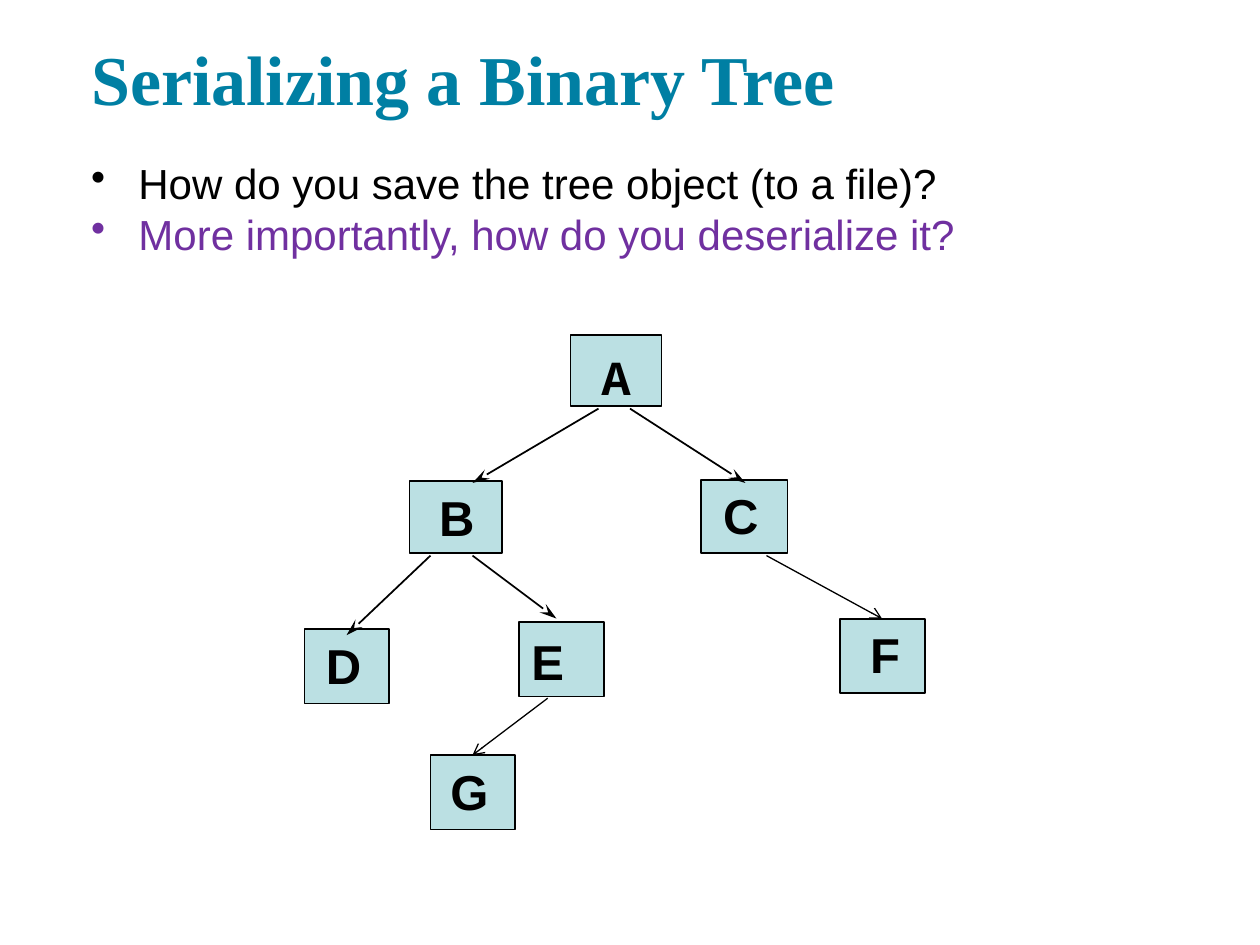
from dataclasses import dataclass

from lxml import etree
from pptx import Presentation
from pptx.dml.color import RGBColor
from pptx.enum.shapes import MSO_CONNECTOR, MSO_SHAPE
from pptx.enum.text import MSO_AUTO_SIZE, PP_ALIGN
from pptx.oxml.ns import qn
from pptx.util import Pt

RECTANGLE = MSO_SHAPE.RECTANGLE
STRAIGHT = MSO_CONNECTOR.STRAIGHT
CENTER = PP_ALIGN.CENTER
NO_AUTOFIT = MSO_AUTO_SIZE.NONE


@dataclass(frozen=True)
class Theme:
    title: RGBColor = RGBColor(0x00, 0x7F, 0xA3)
    text: RGBColor = RGBColor(0x00, 0x00, 0x00)
    accent: RGBColor = RGBColor(0x70, 0x30, 0xA0)
    node: RGBColor = RGBColor(0xBB, 0xE0, 0xE3)
    title_font: str = "Times New Roman"
    body_font: str = "Arial"
    root_font: str = "Courier New"
    title_size: int = 40
    body_size: int = 24
    label_size: int = 28


THEME = Theme()

# Node: left, top, width, height in the tree; label left, top, width in the node
NODES = {
    "A": ((152, 0, 52, 40.5), (10, 3, 32)),
    "B": ((60, 83.5, 53, 41), (12, 0, 30)),
    "C": ((226.5, 83, 49.5, 41.5), (8, -0.5, 29.5)),
    "D": ((0, 168, 48.5, 42.5), (6, 0, 32.5)),
    "E": ((122.5, 164, 48.5, 42.5), (2.5, 2, 28)),
    "F": ((306, 162, 48.5, 42.5), (12, 0, 27.5)),
    "G": ((72, 240, 48.5, 42.5), (6, 0, 32.5)),
}

# Edge: start and end in the tree, line width, arrowhead, arrowhead length
STEALTH = (1, "stealth", "lg")
OPEN_ARROW = (0.75, "arrow", "med")
EDGES = [
    ((168, 42), (96, 84.5), STEALTH),  # A to B
    ((186, 42), (252, 84.5), STEALTH),  # A to C
    ((72, 126), (24, 171.5), STEALTH),  # B to D
    ((96, 126), (144, 162), STEALTH),  # B to E
    ((264, 126), (330, 162), OPEN_ARROW),  # C to F
    ((139, 207.5), (96, 240), OPEN_ARROW),  # E to G
]


def style_font(paragraph, name, size, color, bold=False):
    font = paragraph.font
    font.name, font.size, font.bold = name, Pt(size), bold
    font.color.rgb = color


def add_text_frame(slide, left, top, width, height, wrap=True):
    text_box = slide.shapes.add_textbox(Pt(left), Pt(top), Pt(width), Pt(height))
    text_frame = text_box.text_frame
    text_frame.word_wrap = wrap
    text_frame.auto_size = NO_AUTOFIT
    return text_frame


def add_title(slide, box, text):
    paragraph = add_text_frame(slide, *box).paragraphs[0]
    paragraph.text = text
    style_font(paragraph, THEME.title_font, THEME.title_size, THEME.title, True)


def add_bullets(slide, box, items):
    text_frame = add_text_frame(slide, *box)
    for index, (text, color) in enumerate(items):
        paragraph = text_frame.add_paragraph() if index else text_frame.paragraphs[0]
        paragraph.text = text
        style_font(paragraph, THEME.body_font, THEME.body_size, color)
        properties = paragraph._p.get_or_add_pPr()
        properties.set("marL", str(Pt(27)))
        properties.set("indent", str(Pt(-27)))
        # The bullet comes before the default run properties
        bullet = etree.Element(qn("a:buChar"), char="•")
        properties.find(qn("a:defRPr")).addprevious(bullet)


def add_node(slide, name, left, top, width, height, label):
    shape = slide.shapes.add_shape(RECTANGLE, Pt(left), Pt(top), Pt(width), Pt(height))
    shape.shadow.inherit = False
    shape.fill.solid()
    shape.fill.fore_color.rgb = THEME.node
    shape.line.color.rgb = THEME.text
    shape.line.width = Pt(1)

    label_left, label_top, label_width = label
    text_frame = add_text_frame(
        slide, left + label_left, top + label_top, label_width, 41, wrap=False)
    paragraph = text_frame.paragraphs[0]
    paragraph.text = name
    paragraph.alignment = CENTER
    font = THEME.root_font if name == "A" else THEME.body_font
    style_font(paragraph, font, THEME.label_size, THEME.text, True)


def add_edge(slide, start, end, style):
    width, head, head_length = style
    connector = slide.shapes.add_connector(STRAIGHT, *map(Pt, start + end))
    connector.line.color.rgb = THEME.text
    connector.line.width = Pt(width)
    etree.SubElement(connector.line._get_or_add_ln(), qn("a:tailEnd"),
                     type=head, w="med", len=head_length)
    etree.SubElement(connector._element.spPr, qn("a:effectLst"))


def add_tree(slide, left, top):
    for name, ((x, y, width, height), label) in NODES.items():
        add_node(slide, name, left + x, top + y, width, height, label)
    for start, end, style in EDGES:
        add_edge(slide, (left + start[0], top + start[1]),
                 (left + end[0], top + end[1]), style)


def main():
    presentation = Presentation()
    presentation.slide_width, presentation.slide_height = Pt(720), Pt(540)
    slide = presentation.slides.add_slide(presentation.slide_layouts[6])

    # Heading and questions
    add_title(slide, (45, 16.5, 525.5, 55.5), "Serializing a Binary Tree")
    add_bullets(slide, (45, 86.5, 525.5, 65.5), [
        ("How do you save the tree object (to a file)?", THEME.text),
        ("More importantly, how do you deserialize it?", THEME.accent),
    ])

    # Binary tree
    add_tree(slide, 174, 191.5)
    presentation.save("out.pptx")


if __name__ == "__main__":
    main()
